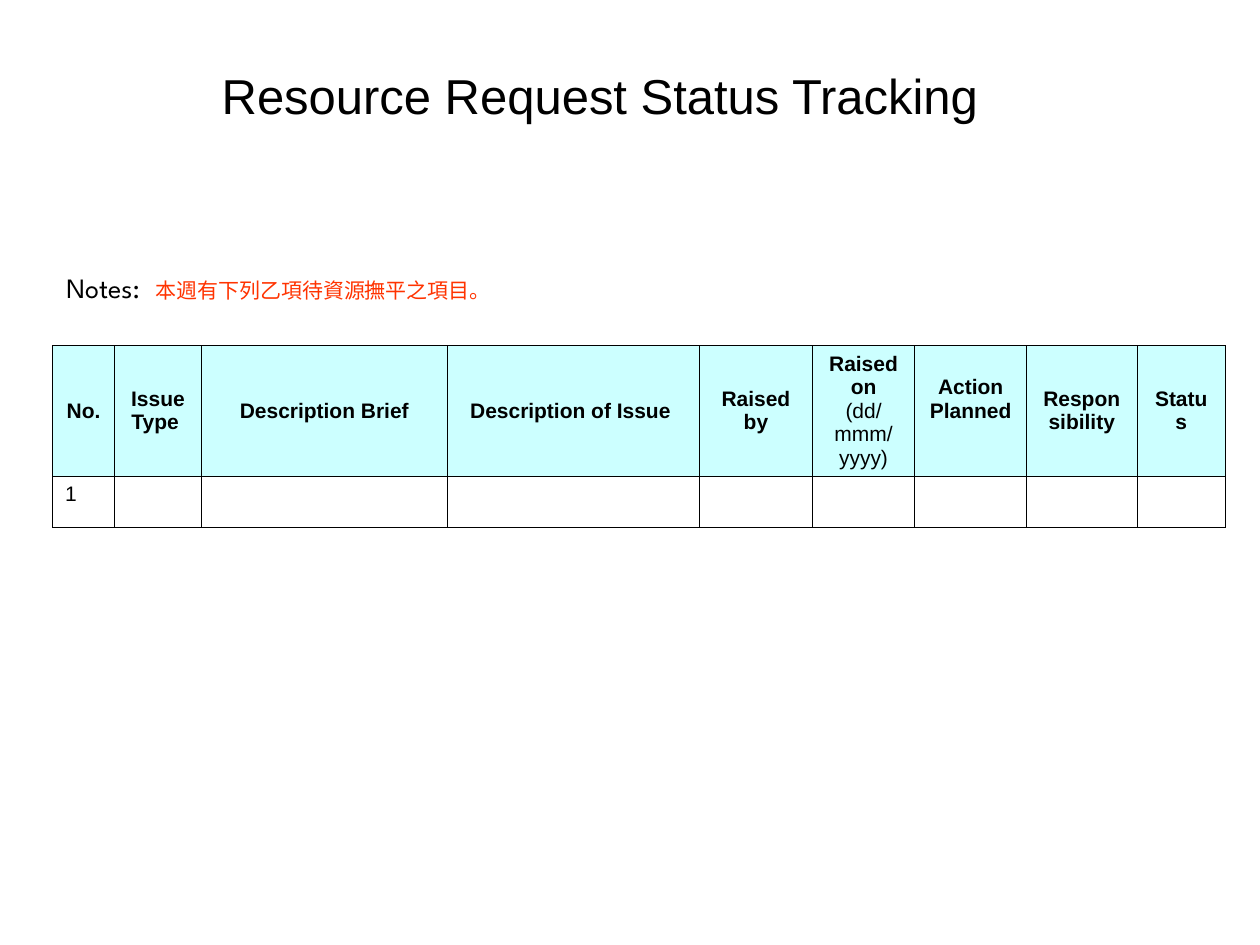
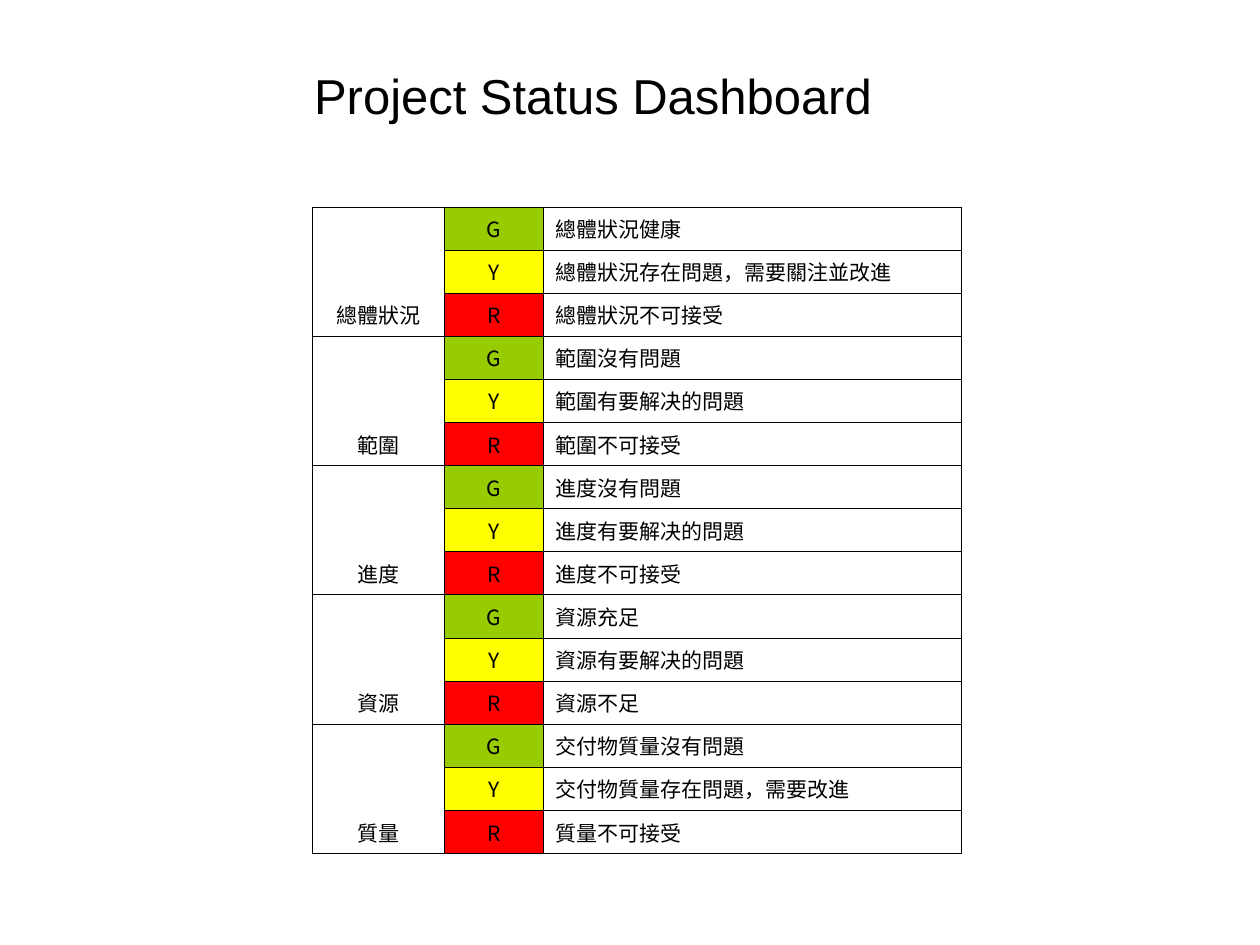
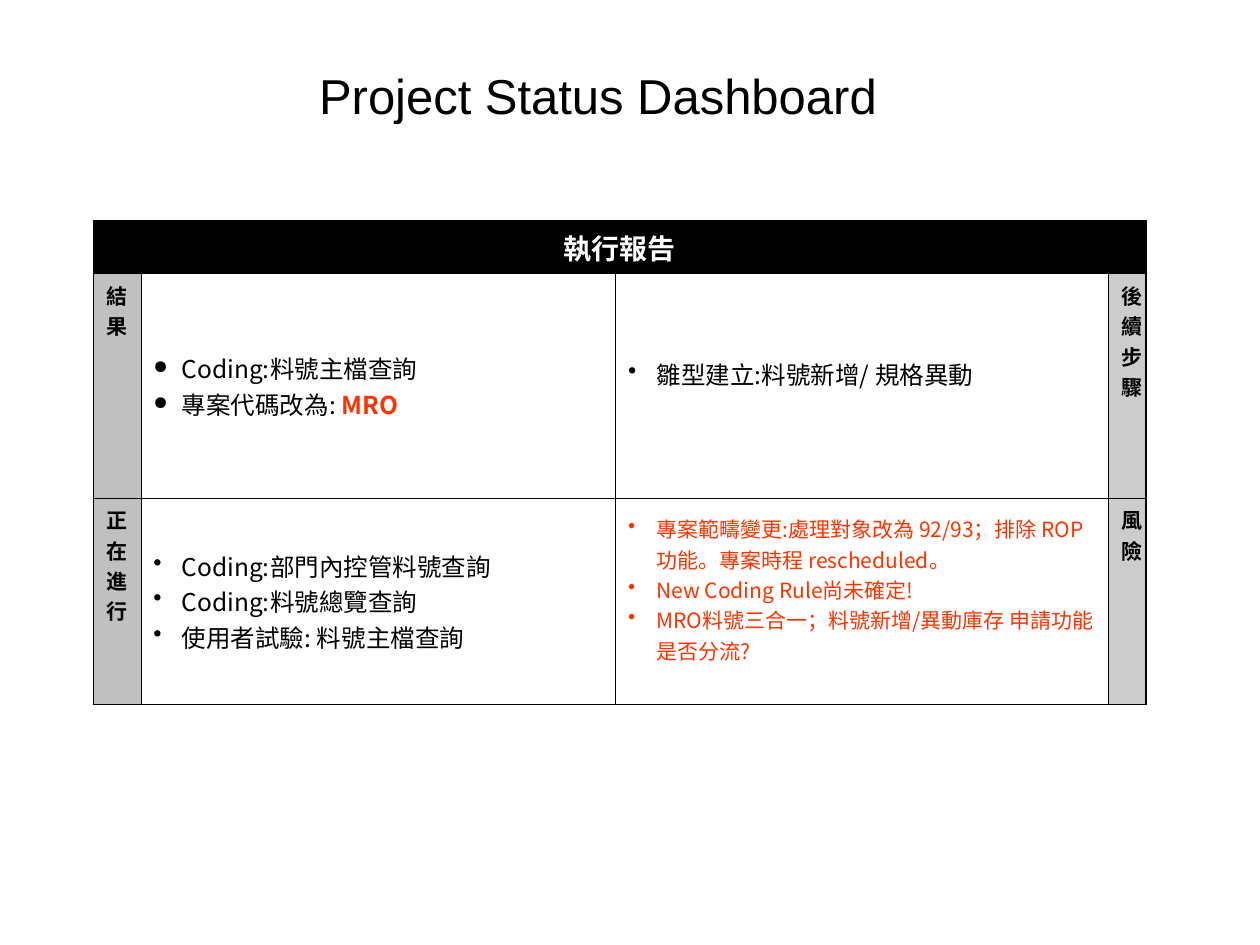
"""Build three project status slides: resource requests, rating legend and execution report."""
from lxml.etree import SubElement
from pptx import Presentation
from pptx.dml.color import RGBColor
from pptx.enum.text import MSO_ANCHOR, PP_ALIGN
from pptx.oxml import parse_xml
from pptx.oxml.ns import nsdecls, qn
from pptx.util import Cm, Pt

COLORS = {
    "black": "000000", "white": "FFFFFF", "alert": "FF3300", "header": "CCFFFF",
    "G": "99CC00", "Y": "FFFF00", "R": "FF0000", "left": "C0C0C0", "right": "CCCCCC",
}
LATIN, SIMPLIFIED, TRADITIONAL = "Arial", "Noto Sans CJK SC", "Noto Sans CJK TC"
THIN, THICK = Pt(0.45), Pt(0.96)

TITLE = {"name": LATIN, "size": Pt(28), "bold": False, "color": "black"}
HEADER = {**TITLE, "size": Pt(12), "bold": True}
BODY = {**HEADER, "bold": False}
LEGEND = {**BODY, "name": SIMPLIFIED}
REPORT = {**BODY, "name": TRADITIONAL, "size": Pt(14)}
RISK = {**REPORT, "size": Pt(12), "color": "alert"}
SIDE = {**REPORT, "size": Pt(12), "bold": True}
BANNER = {**SIDE, "size": Pt(16), "color": "white"}
NOTE = {**BODY, "name": "League Spartan", "size": Pt(16)}

MIDDLE = {"vertical_anchor": MSO_ANCHOR.MIDDLE}
BOTTOM = {"vertical_anchor": MSO_ANCHOR.BOTTOM}

REQUEST_HEADERS = [
    ["No."], ["Issue Type "], ["Description Brief"], ["Description of Issue "], ["Raised by"],
    ["Raised on", [("(dd/mmm/yyyy)", {"bold": False})]],
    ["Action Planned "], ["Responsibility"], ["Status"],
]
RATINGS = {
    "總體狀況": ["總體狀況健康", "總體狀況存在問題，需要關注並改進", "總體狀況不可接受"],
    "範圍": ["範圍沒有問題", "範圍有要解决的問題", "範圍不可接受"],
    "進度": ["進度沒有問題", "進度有要解决的問題", "進度不可接受"],
    "資源": ["資源充足", "資源有要解决的問題", "資源不足"],
    "質量": ["交付物質量沒有問題", "交付物質量存在問題，需要改進", "質量不可接受"],
}
RESULTS = ["Coding:料號主檔查詢", [("專案代碼改為: ", {}), ("MRO", {"color": "alert", "bold": True})]]
NEXT_STEPS = ["雛型建立:料號新增/ 規格異動"]
ONGOING = ["Coding:部門內控管料號查詢", "Coding:料號總覽查詢", "使用者試驗: 料號主檔查詢"]
RISKS = [
    "專案範疇變更:處理對象改為 92/93；排除 ROP功能。專案時程 rescheduled。",
    "New Coding Rule尚未確定!",
    "MRO料號三合一；料號新增/異動庫存 申請功能 是否分流?",
]


def rgb(color):
    """Return the named colour."""
    return RGBColor.from_string(COLORS[color])


def write_runs(paragraph, runs, style):
    """Write a string, or (text, style changes) pairs, into a paragraph."""
    for text, changes in [(runs, {})] if isinstance(runs, str) else runs:
        run = paragraph.add_run()
        run.text = text
        look = {**style, **changes}
        run.font.color.rgb = rgb(look.pop("color"))
        for attribute, value in look.items():
            setattr(run.font, attribute, value)
        east_asian = look["name"] if look["name"] == SIMPLIFIED else TRADITIONAL
        SubElement(run._r.get_or_add_rPr(), qn("a:ea"), typeface=east_asian)


def add_bullet(paragraph, mark, color, percent):
    """Give a paragraph a hanging bullet."""
    properties = paragraph._p.get_or_add_pPr()
    properties.set("marL", str(Cm(0.57)))
    properties.set("indent", str(-Cm(0.57)))
    SubElement(SubElement(properties, qn("a:buClr")), qn("a:srgbClr"), val=COLORS[color])
    SubElement(properties, qn("a:buSzPct"), val=str(percent * 1000))
    SubElement(properties, qn("a:buChar"), char=mark)


def fill_cell(cell, lines, style, layout=None, align=None, fill=None, bullet=None):
    """Fill a cell with paragraphs, its layout, colour and optional (mark, percent) bullet."""
    for attribute, value in (layout or {}).items():
        setattr(cell, attribute, value)
    if fill:
        cell.fill.solid()
        cell.fill.fore_color.rgb = rgb(fill)
    frame = cell.text_frame
    for index, runs in enumerate(lines):
        paragraph = frame.add_paragraph() if index else frame.paragraphs[0]
        paragraph.alignment = align
        if bullet:
            add_bullet(paragraph, bullet[0], style["color"], bullet[1])
        write_runs(paragraph, runs, style)


def set_borders(cell, widths):
    """Draw the left, right, top and bottom borders of a cell."""
    properties = cell._tc.get_or_add_tcPr()
    for index, (side, width) in enumerate(zip("LRTB", widths)):
        properties.insert(index, parse_xml(
            f'<a:ln{side} {nsdecls("a")} w="{int(width)}"><a:solidFill>'
            f'<a:srgbClr val="{COLORS["black"]}"/></a:solidFill></a:ln{side}>'))


def add_grid(slide, left, top, columns, rows, frame=THIN):
    """Add an unfilled table with thin inner lines and a given outer frame."""
    table = slide.shapes.add_table(len(rows), len(columns), Cm(left), Cm(top),
                                   Cm(sum(columns)), Cm(sum(rows))).table
    table.first_row = table.horz_banding = False
    for column, width in zip(table.columns, columns):
        column.width = Cm(width)
    for row, height in zip(table.rows, rows):
        row.height = Cm(height)
    for r in range(len(rows)):
        for c in range(len(columns)):
            cell = table.cell(r, c)
            cell.fill.background()
            edges = (c == 0, c == len(columns) - 1, r == 0, r == len(rows) - 1)
            set_borders(cell, [frame if edge else THIN for edge in edges])
    return table


def add_titled_slide(deck, heading, left=1.09, width=22.0):
    """Add a title-only slide with its heading."""
    slide = deck.slides.add_slide(deck.slide_layouts[5])
    title = slide.shapes.title
    place = {"left": Cm(left), "top": Cm(1.12), "width": Cm(width), "height": Cm(1.6)}
    for attribute, value in place.items():
        setattr(title, attribute, value)
    title.text_frame.vertical_anchor = MSO_ANCHOR.MIDDLE
    paragraph = title.text_frame.paragraphs[0]
    paragraph.alignment = PP_ALIGN.CENTER
    write_runs(paragraph, heading, TITLE)
    return slide


def add_note(slide, label, message):
    """Add the note line, with the message set at a tab stop after its label."""
    frame = slide.shapes.add_textbox(Cm(1.09), Cm(5.33), Cm(23.3), Cm(0.94)).text_frame
    frame.word_wrap = True
    paragraph = frame.paragraphs[0]
    stops = SubElement(paragraph._p.get_or_add_pPr(), qn("a:tabLst"))
    SubElement(stops, qn("a:tab"), pos=str(Cm(1.79)), algn="l")
    write_runs(paragraph, [(f"{label}\t", {}), (message, {"size": Pt(12), "color": "alert"})], NOTE)


def build_requests(deck):
    """Build the resource request slide."""
    slide = add_titled_slide(deck, "Resource Request Status Tracking")
    widths = [1.25, 1.75, 4.96, 5.08, 2.28, 2.06, 2.26, 2.22, 1.79]
    table = add_grid(slide, 1.06, 6.97, widths, [2.28, 0.77])
    for column, lines in enumerate(REQUEST_HEADERS):
        fill_cell(table.cell(0, column), lines, HEADER, MIDDLE, PP_ALIGN.CENTER, "header")
    table.cell(0, REQUEST_HEADERS.index(["Action Planned "])).margin_bottom = Cm(0.6)
    fill_cell(table.cell(1, 0), ["1"], BODY)
    add_note(slide, "Notes:", "本週有下列乙項待資源撫平之項目。")


def build_legend(deck):
    """Build the slide that explains the green, yellow and red ratings."""
    slide = add_titled_slide(deck, "Project Status Dashboard ")
    table = add_grid(slide, 6.29, 4.17, [2.67, 1.99, 8.43], [0.77] * 3 * len(RATINGS))
    for group, (area, meanings) in enumerate(RATINGS.items()):
        first = 3 * group
        table.cell(first, 0).merge(table.cell(first + 2, 0))
        fill_cell(table.cell(first, 0), [area], LEGEND, BOTTOM, PP_ALIGN.CENTER)
        for row, (rating, meaning) in enumerate(zip("GYR", meanings), first):
            fill_cell(table.cell(row, 1), [rating], LEGEND, BOTTOM, PP_ALIGN.CENTER, rating)
            fill_cell(table.cell(row, 2), [meaning], LEGEND)


def build_report(deck):
    """Build the execution report slide."""
    slide = add_titled_slide(deck, "Project Status Dashboard ", 1.27, 21.84)
    table = add_grid(slide, 1.88, 4.45, [0.96, 9.57, 9.94, 0.75], [1.05, 4.52, 4.16], THICK)
    table.cell(0, 0).merge(table.cell(0, 3))
    fill_cell(table.cell(0, 0), ["執行報告"], BANNER, MIDDLE, PP_ALIGN.CENTER, "black")
    for row, (left, right) in enumerate([("結果", "後續步驟"), ("正在進行", "風險")], 1):
        fill_cell(table.cell(row, 0), [left], SIDE, align=PP_ALIGN.CENTER, fill="left")
        fill_cell(table.cell(row, 3), [right], SIDE, fill="right")
    raised = {**MIDDLE, "margin_bottom": Cm(0.6)}
    dot = ("•", 100)
    fill_cell(table.cell(1, 1), RESULTS, REPORT, MIDDLE, bullet=("●", 75))
    fill_cell(table.cell(1, 2), NEXT_STEPS, REPORT, raised, bullet=dot)
    fill_cell(table.cell(2, 1), ONGOING, REPORT, MIDDLE, bullet=dot)
    fill_cell(table.cell(2, 2), RISKS, RISK, raised, bullet=dot)


def main():
    """Build and save the deck."""
    deck = Presentation()
    deck.slide_width, deck.slide_height = Cm(25.4), Cm(19.05)
    build_requests(deck)
    build_legend(deck)
    build_report(deck)
    deck.save("out.pptx")


if __name__ == "__main__":
    main()
